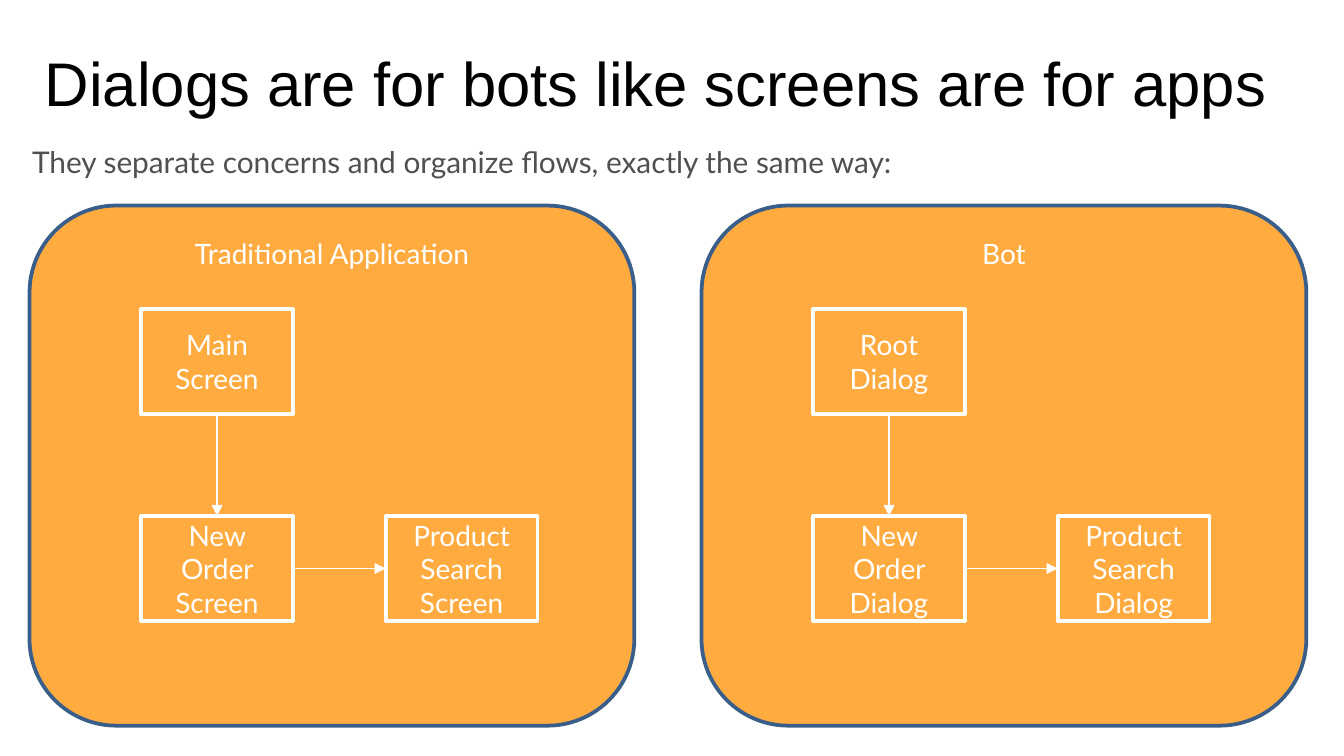
from lxml.etree import SubElement
from pptx import Presentation
from pptx.dml.color import RGBColor
from pptx.enum.shapes import MSO_CONNECTOR, MSO_SHAPE
from pptx.enum.text import MSO_ANCHOR, PP_ALIGN
from pptx.oxml.ns import qn
from pptx.util import Inches, Pt

BLACK = RGBColor(0x00, 0x00, 0x00)
WHITE = RGBColor(0xFF, 0xFF, 0xFF)
GRAY = RGBColor(0x50, 0x50, 0x50)
ORANGE = RGBColor(0xFF, 0xAB, 0x40)
NAVY = RGBColor(0x39, 0x5E, 0x89)

PANEL_W, PANEL_H = 4.5, 3.87
BOX_W, BOX_H = 1.13, 0.78
TOP, LEFT, BOTTOM, RIGHT = range(4)
PANELS = [
    (0.22, "Traditional Application", "Main", "Screen"),
    (5.22, "Bot", "Root", "Dialog"),
]


def set_text(s, text, size, font, color, align, anchor, inset_x, inset_y):
    """Write one formatted paragraph into a shape."""
    tf = s.text_frame
    tf.word_wrap = True
    tf.vertical_anchor = anchor
    tf.margin_left = tf.margin_right = Inches(inset_x)
    tf.margin_top = tf.margin_bottom = Inches(inset_y)
    p = tf.paragraphs[0]
    p.alignment = align
    r = p.add_run()
    r.text = text
    r.font.size = Pt(size)
    r.font.name = font
    r.font.color.rgb = color
    return p


def add_title(slide, x, y, w, h):
    """Place and format the title placeholder."""
    s = slide.shapes.title
    s.left, s.top, s.width, s.height = map(Inches, (x, y, w, h))
    set_text(s, "Dialogs are for bots like screens are for apps", 33, "Arial",
             BLACK, PP_ALIGN.CENTER, MSO_ANCHOR.MIDDLE, 0.1, 0.05)


def add_intro(slide, x, y, w, h):
    """Add the sentence that introduces the two panels."""
    s = slide.shapes.add_textbox(*map(Inches, (x, y, w, h)))
    p = set_text(s, "They separate concerns and organize flows, exactly the same way:",
                 16, "Lato", GRAY, PP_ALIGN.LEFT, MSO_ANCHOR.TOP, 0.16, 0.13)
    p.line_spacing = 0.9


def add_block(slide, kind, x, y, w, h, text, line_color, anchor):
    """Add an orange outlined shape with a white label."""
    s = slide.shapes.add_shape(kind, *map(Inches, (x, y, w, h)))
    s.shadow.inherit = False
    s.fill.solid()
    s.fill.fore_color.rgb = ORANGE
    s.line.color.rgb = line_color
    s.line.width = Pt(2)
    set_text(s, text, 15, "Lato", WHITE, PP_ALIGN.CENTER, anchor, 0.08, 0.04)
    return s


def add_arrow(slide, start, start_site, end, end_site):
    """Connect two shapes with a thin white arrow."""
    c = slide.shapes.add_connector(MSO_CONNECTOR.STRAIGHT, 0, 0, 0, 0)
    c.begin_connect(start, start_site)
    c.end_connect(end, end_site)
    c.line.color.rgb = WHITE
    c.line.width = Pt(0.75)
    sp_pr = c._element.spPr
    SubElement(sp_pr.find(qn("a:ln")), qn("a:tailEnd"), type="triangle")
    SubElement(sp_pr, qn("a:effectLst"))


def add_panel(slide, x, y, heading, first, unit):
    """Add a rounded panel holding a three-step flow."""
    panel = add_block(slide, MSO_SHAPE.ROUNDED_RECTANGLE, x, y, PANEL_W, PANEL_H,
                      heading, NAVY, MSO_ANCHOR.TOP)
    panel.adjustments[0] = 0.167
    steps = [(0.83, 0.77, first), (0.83, 2.31, "New Order"), (2.65, 2.31, "Product Search")]
    start, order, search = [
        add_block(slide, MSO_SHAPE.RECTANGLE, x + dx, y + dy, BOX_W, BOX_H,
                  f"{name} {unit}", WHITE, MSO_ANCHOR.MIDDLE)
        for dx, dy, name in steps
    ]
    add_arrow(slide, start, BOTTOM, order, TOP)
    add_arrow(slide, order, RIGHT, search, LEFT)


def main():
    """Build and save the slide."""
    prs = Presentation()
    prs.slide_width = Inches(10)
    prs.slide_height = prs.slide_width * 9 // 16
    slide = prs.slides.add_slide(prs.slide_layouts[5])
    add_title(slide, 0.1, 0.24, 9.56, 0.74)
    add_intro(slide, 0.08, 0.98, 9.3, 3.35)
    for x, heading, first, unit in PANELS:
        add_panel(slide, x, 1.53, heading, first, unit)
    prs.save("out.pptx")


if __name__ == "__main__":
    main()
